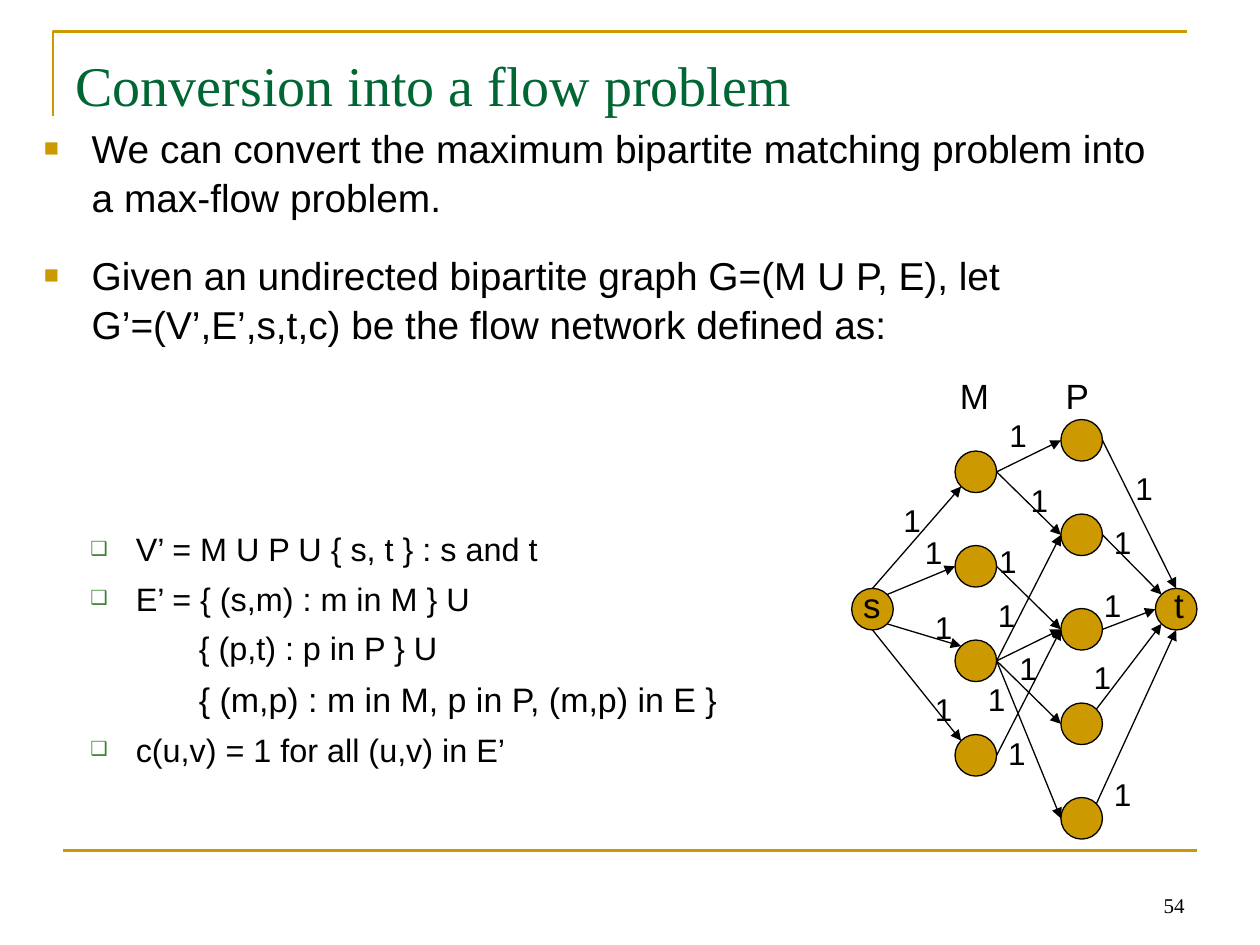
from math import cos, radians, sin

from pptx import Presentation
from pptx.dml.color import RGBColor
from pptx.enum.shapes import MSO_CONNECTOR as Connector, MSO_SHAPE as Shape
from pptx.enum.text import MSO_ANCHOR as Anchor, PP_ALIGN as Align
from pptx.oxml.ns import qn
from pptx.util import Inches, Pt
from lxml.etree import SubElement

THEME = {
    "gold": "CC9900", "green": "006633", "leaf": "3B812F", "ink": "000000",
    "serif": "Times New Roman", "sans": "Arial",
    "title": 32, "body": 22.2, "detail": 18.5, "wide_detail": 19.4,
    "heading": 20, "capacity": 18, "number": 12, "edge": 0.75, "rule": 1.5,
}

TITLE = "Conversion into a flow problem"
PAGE_NUMBER = "54"
STYLES = {
    "point": {"size": "body", "left": 0.38, "hang": 0.38, "bullet": ("■", "gold", 65)},
    "detail": {"size": "detail", "left": 0.73, "hang": 0.36, "bullet": ("❑", "leaf", 60)},
    "more": {"size": "detail", "left": 1.23, "hang": 0, "bullet": None},
    "wide": {"size": "wide_detail", "left": 1.23, "hang": 0, "bullet": None},
}
BODY = [
    ("point", 0, "We can convert the maximum bipartite matching problem into a max-flow problem."),
    ("point", 16.6, "Given an undirected bipartite graph G=(M U P, E), let "
                    "G’=(V’,E’,s,t,c) be the flow network defined as:"),
    ("detail", 103, "V’ = M U P U { s, t } : s and t"),
    ("detail", 5, "E’ = { (s,m) : m in M } U"),
    ("more", 5, "{ (p,t) : p in P } U"),
    ("wide", 5.2, "{ (m,p) : m in M, p in P, (m,p) in E }"),
    ("detail", 5, "c(u,v) = 1 for all (u,v) in E’"),
]

DIAMETER = 0.33
ROW_STEP = 0.75
COLUMNS = {"M": (7.58, 3.58, 4), "P": (8.42, 3.33, 5)}
NODES = {"s": (6.76, 4.67), "t": (9.17, 4.67)}
for column, (left, top, count) in COLUMNS.items():
    for row in range(count):
        NODES[f"{column}{row}"] = (left, top + row * ROW_STEP)

ANGLES = {"right": 0, "lower right": 45, "bottom": 90, "lower left": 135,
          "left": 180, "upper left": 225, "top": 270, "upper right": 315}
MATCHES = [(0, 0), (0, 1), (2, 1), (1, 2), (2, 2), (3, 2), (2, 3), (2, 4)]
EDGES = [
    ("s", "top", "M0", "lower left"),
    ("s", "upper right", "M1", "left"),
    ("s", "lower right", "M2", "upper left"),
    ("s", "bottom", "M3", "upper left"),
    ("P0", "right", "t", "top"),
    ("P1", "right", "t", "upper left"),
    ("P2", "right", "t", "left"),
    ("P3", "upper right", "t", "lower left"),
    ("P4", "upper right", "t", "bottom"),
] + [(f"M{m}", "right", f"P{p}", "left") for m, p in MATCHES]

HEADINGS = [("M", 7.52, 2.92, 0.43), ("P", 8.36, 2.92, 0.38),
            ("s", 6.75, 4.58, 0.34), ("t", 9.22, 4.58, 0.27)]
CAPACITIES = [
    (7.07, 3.93), (7.24, 4.18), (7.32, 4.78), (7.32, 5.43),
    (7.91, 3.25), (8.08, 3.77), (7.83, 4.25), (7.82, 4.68),
    (7.99, 5.1), (7.74, 5.35), (7.9, 5.78),
    (8.91, 3.67), (8.74, 4.1), (8.66, 4.6), (8.58, 5.17), (8.74, 6.1),
]


def color(name):
    return RGBColor.from_string(THEME[name])


def add_run(paragraph, text, size, font="sans", ink="ink"):
    run = paragraph.add_run()
    run.text = text
    run.font.name = THEME[font]
    run.font.size = Pt(THEME[size])
    run.font.color.rgb = color(ink)


def add_label(slide, text, box, size, align=Align.CENTER, font="sans", anchor=Anchor.TOP):
    frame = slide.shapes.add_textbox(*map(Inches, box)).text_frame
    frame.word_wrap = False
    frame.vertical_anchor = anchor
    paragraph = frame.paragraphs[0]
    paragraph.alignment = align
    add_run(paragraph, text, size, font)


def add_line(slide, start, end, ink, width, arrow=False):
    line = slide.shapes.add_connector(Connector.STRAIGHT, *map(Inches, start + end))
    line.line.color.rgb = color(ink)
    line.line.width = Pt(THEME[width])
    properties = line.element.spPr
    if arrow:
        SubElement(properties.find(qn("a:ln")), qn("a:tailEnd"), type="triangle")
    SubElement(properties, qn("a:effectLst"))


def add_frame(slide):
    builder = slide.shapes.build_freeform(Inches(0.42), Inches(0.92))
    builder.add_line_segments(
        [(Inches(0.42), Inches(0.25)), (Inches(9.42), Inches(0.25))], close=False)
    corner = builder.convert_to_shape()
    corner.shadow.inherit = False
    corner.fill.background()
    corner.line.color.rgb = color("gold")
    corner.line.width = Pt(THEME["rule"])
    add_line(slide, (0.5, 6.75), (9.5, 6.75), "gold", "rule")


def add_title(slide):
    title = slide.shapes.title
    title.left, title.top, title.width, title.height = map(Inches, (0.5, 0.35, 9, 1.2))
    title.text_frame.vertical_anchor = Anchor.TOP
    paragraph = title.text_frame.paragraphs[0]
    paragraph.alignment = Align.LEFT
    add_run(paragraph, TITLE, "title", "serif", "green")


def format_indent(paragraph, left, hang, bullet):
    properties = paragraph._p.get_or_add_pPr()
    properties.set("marL", str(Inches(left)))
    properties.set("indent", str(-Inches(hang)))
    if bullet:
        symbol, ink, percent = bullet
        bullet_color = SubElement(properties, qn("a:buClr"))
        SubElement(bullet_color, qn("a:srgbClr"), val=THEME[ink])
        SubElement(properties, qn("a:buSzPct"), val=str(percent * 1000))
        SubElement(properties, qn("a:buFont"), typeface=THEME["sans"])
        SubElement(properties, qn("a:buChar"), char=symbol)


def add_body(slide):
    frame = slide.shapes.add_textbox(*map(Inches, (0.25, 0.92, 9, 4.96))).text_frame
    frame.word_wrap = True
    for index, (name, gap, text) in enumerate(BODY):
        style = STYLES[name]
        paragraph = frame.add_paragraph() if index else frame.paragraphs[0]
        paragraph.line_spacing = 1.05
        paragraph.space_before = Pt(gap)
        format_indent(paragraph, style["left"], style["hang"], style["bullet"])
        add_run(paragraph, text, style["size"])


def rim_point(node, side):
    left, top = NODES[node]
    radius = DIAMETER / 2
    angle = radians(ANGLES[side])
    return left + radius * (1 + cos(angle)), top + radius * (1 + sin(angle))


def add_network(slide):
    for left, top in NODES.values():
        node = slide.shapes.add_shape(
            Shape.OVAL, *map(Inches, (left, top, DIAMETER, DIAMETER)))
        node.shadow.inherit = False
        node.fill.solid()
        node.fill.fore_color.rgb = color("gold")
        node.line.color.rgb = color("ink")
        node.line.width = Pt(THEME["edge"])
    for source, source_side, target, target_side in EDGES:
        add_line(slide, rim_point(source, source_side), rim_point(target, target_side),
                 "ink", "edge", arrow=True)
    for text, left, top, width in HEADINGS:
        add_label(slide, text, (left, top, width, 0.44), "heading")
    for left, top in CAPACITIES:
        add_label(slide, "1", (left, top, 0.34, 0.4), "capacity")


def main():
    presentation = Presentation()
    presentation.slide_width, presentation.slide_height = Inches(10), Inches(7.5)
    slide = presentation.slides.add_slide(presentation.slide_layouts[5])
    add_frame(slide)
    add_title(slide)
    add_body(slide)
    add_network(slide)
    add_label(slide, PAGE_NUMBER, (7.17, 6.83, 2.33, 0.5), "number",
              Align.RIGHT, "serif", Anchor.BOTTOM)
    presentation.save("out.pptx")


if __name__ == "__main__":
    main()
